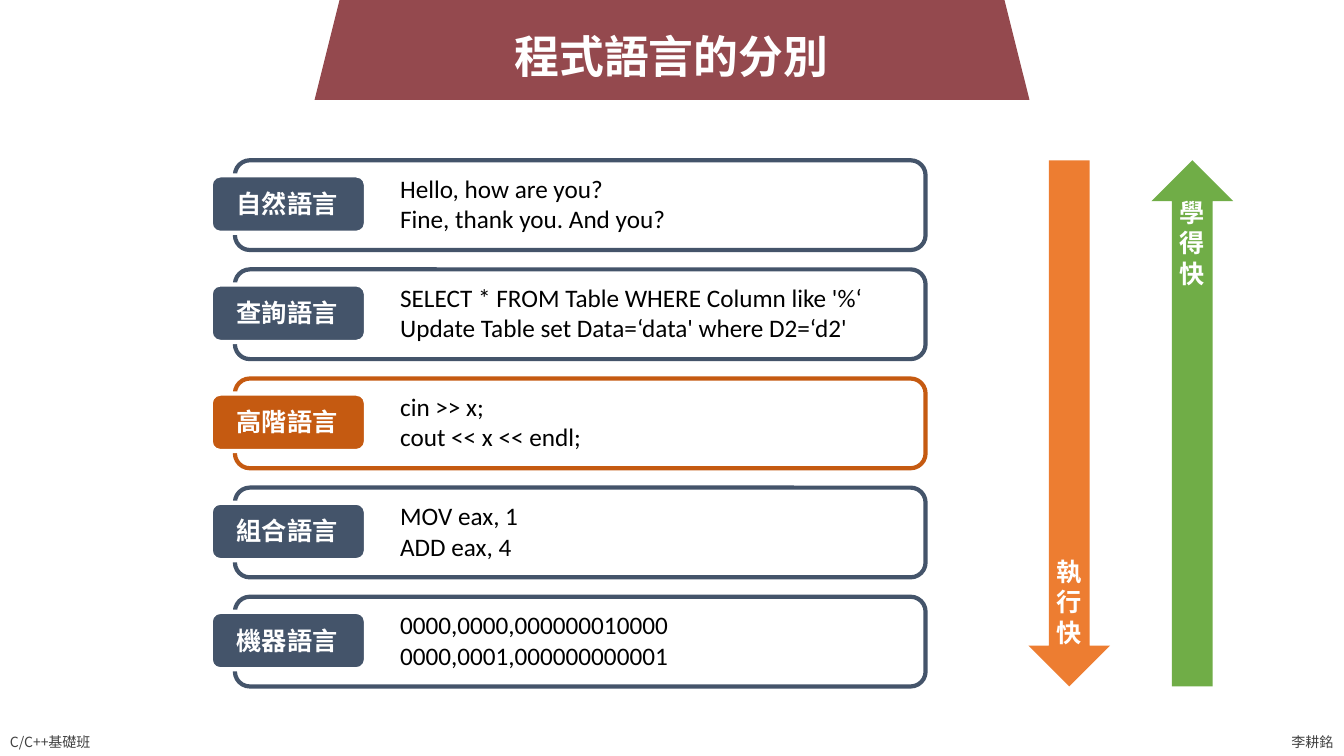
from dataclasses import dataclass

from lxml import etree
from pptx import Presentation
from pptx.dml.color import RGBColor
from pptx.enum.shapes import MSO_SHAPE
from pptx.enum.text import MSO_ANCHOR, MSO_AUTO_SIZE, PP_ALIGN
from pptx.oxml.ns import qn
from pptx.util import Inches, Pt

TRAPEZOID, ROUNDED = MSO_SHAPE.TRAPEZOID, MSO_SHAPE.ROUNDED_RECTANGLE
DOWN_ARROW = MSO_SHAPE.DOWN_ARROW
TOP, MIDDLE = MSO_ANCHOR.TOP, MSO_ANCHOR.MIDDLE
LEFT, CENTER = PP_ALIGN.LEFT, PP_ALIGN.CENTER
FIT_SHAPE = MSO_AUTO_SIZE.SHAPE_TO_FIT_TEXT


@dataclass(frozen=True)
class Theme:
    banner: str = "94494E"
    slate: str = "44546A"
    rust: str = "C55A11"
    orange: str = "ED7D31"
    green: str = "70AD47"
    white: str = "FFFFFF"
    black: str = "000000"
    grey: str = "404040"
    cjk: str = "Noto Sans CJK TC"
    latin: str = "Calibri"
    title: int = 32
    body: int = 18
    footer: int = 10
    line: int = 3


T = Theme()


@dataclass(frozen=True)
class Box:
    x: float
    y: float
    w: float
    h: float

    def emu(self) -> tuple:
        return tuple(Inches(v) for v in (self.x, self.y, self.w, self.h))


@dataclass(frozen=True)
class Style:
    size: int
    color: str
    font: str = T.cjk
    bold: bool = False
    align: PP_ALIGN = LEFT
    anchor: MSO_ANCHOR = TOP
    wrap: bool = False


@dataclass(frozen=True)
class Language:
    name: str
    sample: tuple
    color: str = T.slate


@dataclass(frozen=True)
class Arrow:
    x: float
    color: str
    rotation: int
    text: str
    text_y: float


TITLE = Style(T.title, T.white, bold=True, align=CENTER, anchor=MIDDLE)
TAG = Style(T.body, T.white, bold=True)
SAMPLE = Style(T.body, T.black, font=T.latin, wrap=True)
ARROW_TEXT = Style(T.body, T.white, bold=True, align=CENTER, wrap=True)
FOOTER = Style(T.footer, T.grey)

LANGUAGES = (
    Language("自然語言", ("Hello, how are you?", "Fine, thank you. And you?")),
    Language("查詢語言", ("SELECT * FROM Table WHERE Column like '%‘",
                      "Update Table set Data=‘data' where D2=‘d2'")),
    Language("高階語言", ("cin >> x;", "cout << x << endl;"), T.rust),
    Language("組合語言", ("MOV eax, 1", "ADD eax, 4")),
    Language("機器語言", ("0000,0000,000000010000", "0000,0001,000000000001")),
)
ARROWS = (
    Arrow(10.2, T.orange, 0, "執行快", 5.47),
    Arrow(11.42, T.green, 180, "學得快", 1.91),
)
STACK_TOP, STACK_H = 1.59, 5.22
ROW_H = 0.89
ROW_STEP = (STACK_H - ROW_H) / (len(LANGUAGES) - 1)
ARROW_W, ARROW_TEXT_W = 0.81, 0.47


def add_shape(s, kind: MSO_SHAPE, box: Box, fill: str = "", line: str = ""):
    sp = s.shapes.add_shape(kind, *box.emu())
    sp.shadow.inherit = False
    if fill:
        sp.fill.solid()
        sp.fill.fore_color.rgb = RGBColor.from_string(fill)
    else:
        sp.fill.background()
    if line:
        sp.line.color.rgb = RGBColor.from_string(line)
        sp.line.width = Pt(T.line)
    else:
        sp.line.fill.background()
    return sp


def add_text(s, box: Box, lines: tuple, style: Style) -> None:
    tf = s.shapes.add_textbox(*box.emu()).text_frame
    frame_format = {"word_wrap": style.wrap, "auto_size": FIT_SHAPE,
                    "vertical_anchor": style.anchor}
    for key, value in frame_format.items():
        setattr(tf, key, value)
    font_format = {"size": Pt(style.size), "bold": style.bold, "name": style.font}
    for i, line in enumerate(lines):
        p = tf.add_paragraph() if i else tf.paragraphs[0]
        p.alignment = style.align
        r = p.add_run()
        r.text = line
        for key, value in font_format.items():
            setattr(r.font, key, value)
        r.font.color.rgb = RGBColor.from_string(style.color)
        # East Asian characters take their own typeface element
        ea = etree.SubElement(r._r.get_or_add_rPr(), qn("a:ea"))
        ea.set("typeface", style.font)


def add_language(s, lang: Language, y: float) -> None:
    add_shape(s, ROUNDED, Box(2.33, y, 6.85, ROW_H), line=lang.color)
    add_shape(s, ROUNDED, Box(2.09, y + 0.15, 1.54, 0.57), lang.color, T.white)
    add_text(s, Box(2.25, y + 0.23, 1.21, 0.4), (lang.name,), TAG)
    add_text(s, Box(3.87, y + 0.08, 5.02, 0.71), lang.sample, SAMPLE)


def add_arrow(s, arrow: Arrow) -> None:
    sp = add_shape(s, DOWN_ARROW, Box(arrow.x, STACK_TOP, ARROW_W, STACK_H), arrow.color)
    sp.rotation = arrow.rotation
    text_x = arrow.x + (ARROW_W - ARROW_TEXT_W) / 2
    add_text(s, Box(text_x, arrow.text_y, ARROW_TEXT_W, 1.01), (arrow.text,), ARROW_TEXT)


def main() -> None:
    prs = Presentation()
    prs.slide_width, prs.slide_height = Inches(13.33), Inches(7.5)
    s = prs.slides.add_slide(prs.slide_layouts[6])

    # Title banner
    add_shape(s, TRAPEZOID, Box(3.12, -0.23, 7.09, 1.22), T.banner)
    add_text(s, Box(4.99, 0.23, 3.34, 0.64), ("程式語言的分別",), TITLE)

    # Footer
    add_text(s, Box(0, 7.23, 1.07, 0.27), ("C/C++基礎班",), FOOTER)
    add_text(s, Box(12.71, 7.23, 0.62, 0.27), ("李耕銘",), FOOTER)

    # Speed arrows
    for arrow in ARROWS:
        add_arrow(s, arrow)

    # Language levels
    for i, lang in enumerate(LANGUAGES):
        add_language(s, lang, STACK_TOP + i * ROW_STEP)

    prs.save("out.pptx")


if __name__ == "__main__":
    main()
